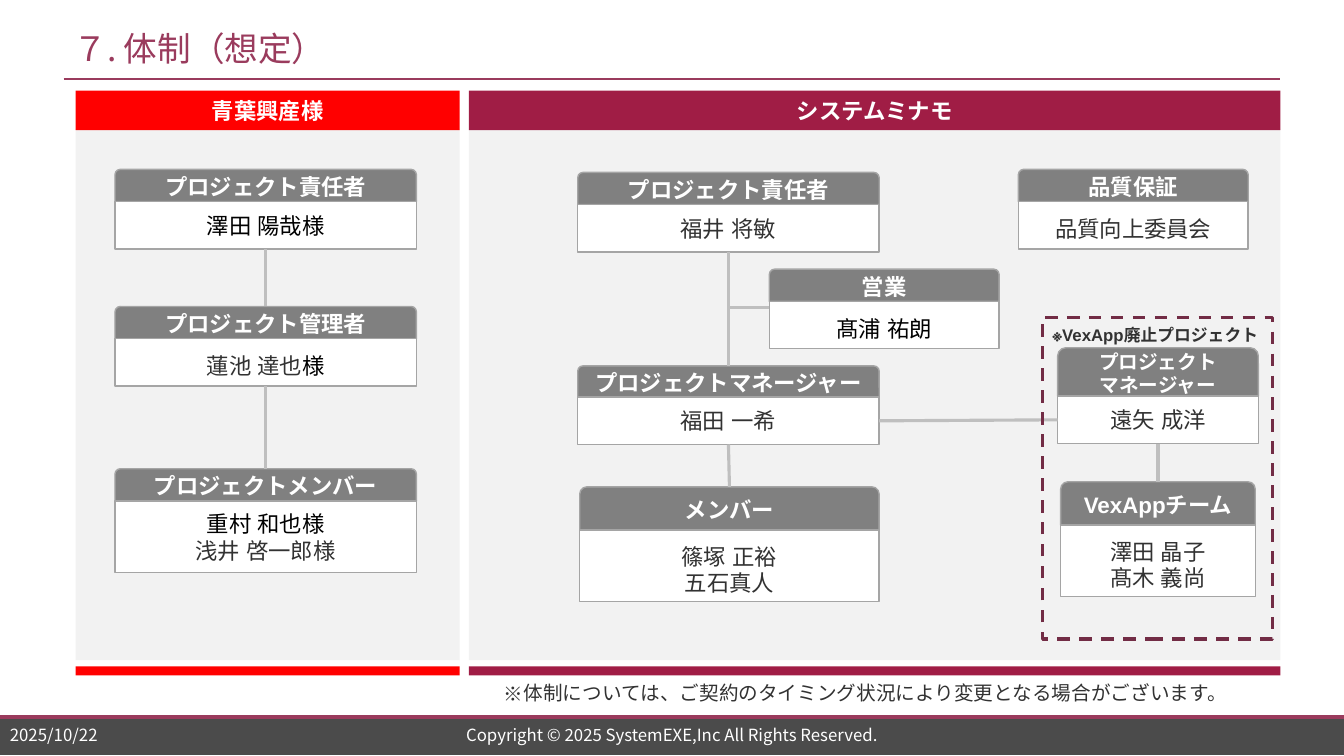
"""Build the project organisation slide with two company panels and linked role cards."""
import pptx
import pptx.util
import pptx.dml.color
import pptx.enum.dml
import pptx.enum.shapes
import pptx.enum.text
import pptx.oxml.ns
import lxml.etree

Inches = pptx.util.Inches
Pt = pptx.util.Pt
RGBColor = pptx.dml.color.RGBColor
SHAPE = pptx.enum.shapes.MSO_SHAPE
ALIGN = pptx.enum.text.PP_ALIGN
ANCHOR = pptx.enum.text.MSO_ANCHOR
qn = pptx.oxml.ns.qn

COLORS = {
    "white": "FFFFFF", "black": "000000", "ink": "323232", "footer": "4B4B4B",
    "rose": "9A3B5D", "wine": "A01D45", "red": "FF0000", "panel": "F2F2F2",
    "head": "808080", "edge": "A5A5A5", "link": "BFBFBF", "frame": "722C45",
}
JAPANESE = "Noto Sans CJK JP"

deck = pptx.Presentation()
deck.slide_width, deck.slide_height = Inches(13.33), Inches(7.5)
page = deck.slides.add_slide(deck.slide_layouts[6])


def add_box(kind, place, fill=None, line=None, lines=(), size=16, font="Arial", bold=False,
            align=ALIGN.CENTER, anchor=ANCHOR.MIDDLE, insets=(0.1, 0.05)):
    """Add a shape, or a text box when kind is None; each line is a list of (text, color)."""
    area = [Inches(value) for value in place]
    if kind is None:
        box = page.shapes.add_textbox(*area)
    else:
        box = page.shapes.add_shape(kind, *area)
        box.shadow.inherit = False
        if fill:
            box.fill.solid()
            box.fill.fore_color.rgb = RGBColor.from_string(COLORS[fill])
        else:
            box.fill.background()
        if line:
            box.line.color.rgb = RGBColor.from_string(COLORS[line])
            box.line.width = Pt(1)
        else:
            box.line.fill.background()
    frame = box.text_frame
    frame.word_wrap = True
    frame.vertical_anchor = anchor
    side, top = insets
    frame.margin_left = frame.margin_right = Inches(side)
    frame.margin_top, frame.margin_bottom = Inches(top), Inches(0.05)
    for index, spans in enumerate(lines):
        para = frame.paragraphs[0] if index == 0 else frame.add_paragraph()
        para.alignment = align
        for text, color in spans:
            span = para.add_run()
            span.text = text
            span.font.size, span.font.bold, span.font.name = Pt(size), bold, font
            span.font.color.rgb = RGBColor.from_string(COLORS[color])
            east_asian = lxml.etree.SubElement(span.font._element, qn("a:ea"))
            east_asian.set("typeface", font)
    return box


def add_line(start, end, color="link", width=2.25):
    """Add a straight connector without shadow."""
    line = page.shapes.add_connector(
        pptx.enum.shapes.MSO_CONNECTOR.STRAIGHT, *[Inches(value) for value in (*start, *end)])
    line.line.color.rgb = RGBColor.from_string(COLORS[color])
    line.line.width = Pt(width)
    lxml.etree.SubElement(line._element.spPr, qn("a:effectLst"))
    return line


add_box(SHAPE.RECTANGLE, (0, 7.1, 13.33, 0.39), "footer")
add_line((0, 7.11), (13.33, 7.11), "rose", 2.75)
add_line((0.63, 0.78), (12.7, 0.78), "rose", 1.5)
add_box(None, (0.63, 0.2, 12.07, 0.55), lines=[[("７. 体制（想定）", "rose")]],
        size=24, font=JAPANESE, align=ALIGN.LEFT)

for company, left, width, color in [
    ("青葉興産様", 0.75, 3.81, "red"),
    ("システムミナモ", 4.65, 8.05, "wine"),
]:
    add_box(SHAPE.RECTANGLE, (left, 1.28, width, 5.27), "panel")
    add_box(SHAPE.RECTANGLE, (left, 0.9, width, 0.39), color,
            lines=[[(company, "white")]], bold=True)
    add_box(SHAPE.RECTANGLE, (left, 6.61, width, 0.09), color)

TIGHT, LOW = (0.04, 0.05), (0.08, 0.12)
ONE, TWO = 0.47, 0.71
cards = [
    ("client owner", 1.14, 1.68, 2.99, 0.32, ONE, TIGHT,
     ["プロジェクト責任者"], [[("澤田 陽哉様", "black")]]),
    ("client manager", 1.14, 3.04, 2.99, 0.32, ONE, LOW,
     ["プロジェクト管理者"], [[("蓮池 達也", "ink"), ("様", "black")]]),
    ("client members", 1.14, 4.65, 2.99, 0.32, TWO, TIGHT,
     ["プロジェクトメンバー"], [[("重村 和也様", "black")], [("浅井 啓一郎様", "ink")]]),
    ("owner", 5.73, 1.71, 2.99, 0.32, ONE, TIGHT,
     ["プロジェクト責任者"], [[("福井 将敏", "ink")]]),
    ("sales", 7.63, 2.67, 2.28, 0.32, ONE, LOW,
     ["営業"], [[("髙浦 祐朗", "black")]]),
    ("manager", 5.73, 3.63, 2.99, 0.31, ONE, TIGHT,
     ["プロジェクトマネージャー"], [[("福田 一希", "ink")]]),
    ("members", 5.75, 4.83, 2.97, 0.43, TWO, LOW,
     ["メンバー"], [[("篠塚 正裕", "ink")], [("五石真人", "ink")]]),
    ("quality", 10.1, 1.68, 2.28, 0.32, ONE, LOW,
     ["品質保証"], [[("品質向上委員会", "ink")]]),
    ("app manager", 10.49, 3.45, 1.99, 0.48, ONE, TIGHT,
     ["プロジェクト", "マネージャー"], [[("遠矢 成洋", "ink")]]),
    ("app team", 10.52, 4.78, 1.93, 0.43, TWO, LOW,
     ["VexAppチーム"], [[("澤田 晶子", "ink")], [("髙木 義尚", "ink")]]),
]
bodies, head_tops = {}, {}
for role, left, top, width, head_height, body_height, insets, titles, names in cards:
    add_box(SHAPE.ROUND_2_SAME_RECTANGLE, (left, top, width, head_height), "head", "edge",
            [[(title, "white")] for title in titles], 16 if len(titles) == 1 else 14,
            bold=True, insets=TIGHT)
    bodies[role] = add_box(SHAPE.RECTANGLE, (left, top + head_height, width, body_height),
                           "white", "edge", names, insets=insets,
                           font=JAPANESE if role == "quality" else "Arial")
    head_tops[role] = (left + width / 2, top)

for upper, lower in [
    ("client owner", "client manager"), ("client manager", "client members"),
    ("owner", "manager"), ("manager", "members"), ("app manager", "app team"),
]:
    add_line(head_tops[upper], head_tops[lower]).begin_connect(bodies[upper], 2)
add_line((7.63, 3.05), (7.23, 3.05))
peer_link = add_line((10.49, 4.17), (8.72, 4.17))
peer_link.begin_connect(bodies["app manager"], 1)
peer_link.end_connect(bodies["manager"], 3)

add_box(None, (10.34, 3.17, 2.5, 0.34), lines=[[("※VexApp廃止プロジェクト", "ink")]],
        size=12, bold=True, align=ALIGN.LEFT, anchor=ANCHOR.TOP)
app_frame = add_box(SHAPE.RECTANGLE, (10.34, 3.15, 2.28, 3.19), line="frame")
app_frame.line.width = Pt(2.25)
app_frame.line.dash_style = pptx.enum.dml.MSO_LINE.DASH

note = add_box(None, (4.9, 6.71, 7.8, 0.44), size=14, font=JAPANESE, align=ALIGN.LEFT,
               anchor=ANCHOR.TOP,
               lines=[[("体制については、ご契約のタイミング状況により変更となる場合がございます。", "ink")]])
note_format = note.text_frame.paragraphs[0]._p.get_or_add_pPr()
note_format.set("marL", str(Inches(0.19)))
note_format.set("indent", str(-Inches(0.19)))
lxml.etree.SubElement(note_format, qn("a:buFont")).set("typeface", JAPANESE)
lxml.etree.SubElement(note_format, qn("a:buChar")).set("char", "※")

for text, left, width, align in [
    ("2025/10/22", 0, 1.57, ALIGN.LEFT),
    ("Copyright © 2025 SystemEXE,Inc All Rights Reserved.", 3.32, 6.69, ALIGN.CENTER),
]:
    add_box(None, (left, 7.17, width, 0.24), lines=[[(text, "white")]],
            size=12, font=JAPANESE, align=align)

deck.save("out.pptx")
